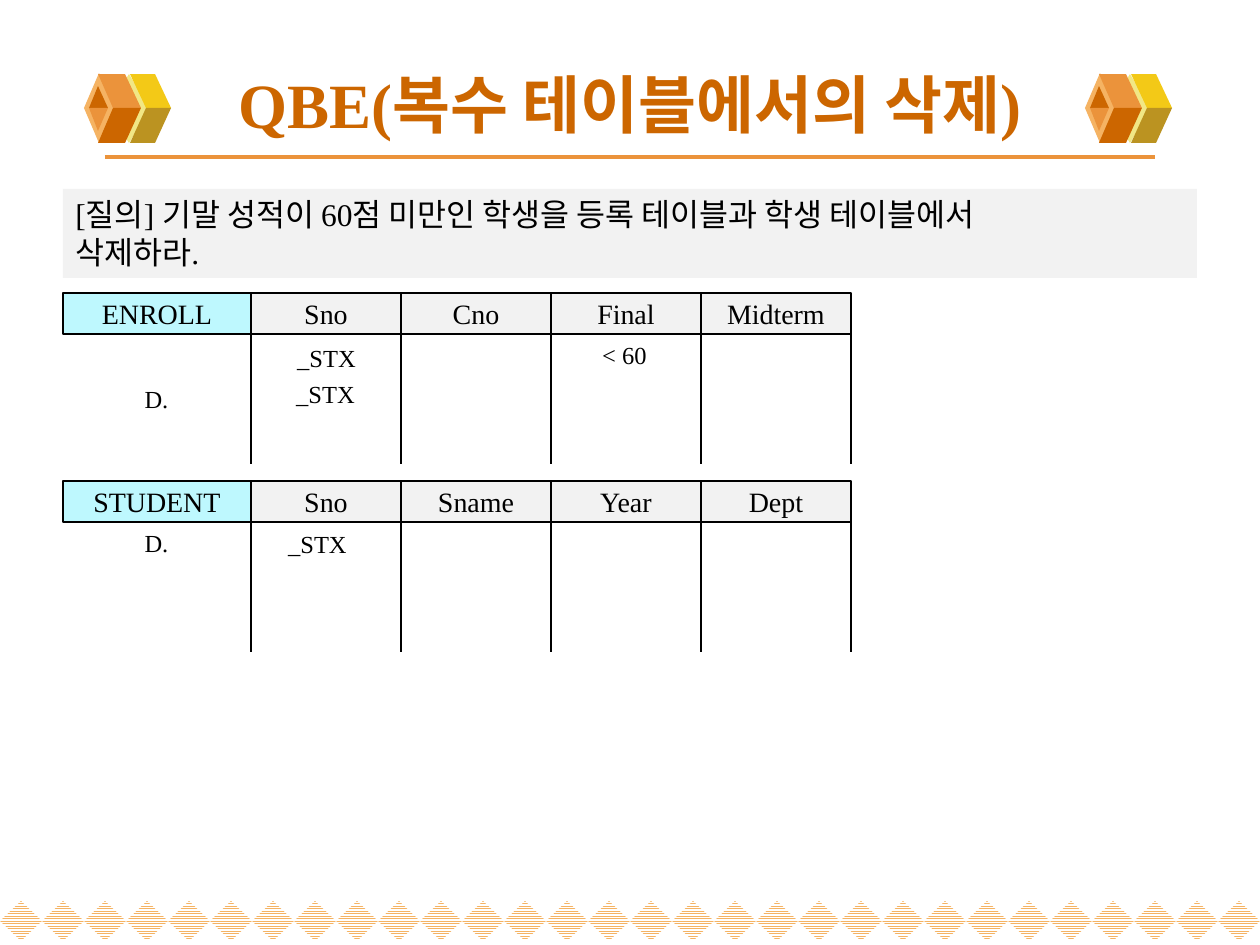
import pptx
import pptx.util
import pptx.dml.color
import pptx.enum.dml
import pptx.enum.shapes
import pptx.enum.text
import pptx.oxml.ns
import lxml.etree

RGBColor = pptx.dml.color.RGBColor
SHAPE = pptx.enum.shapes.MSO_SHAPE
ALIGN = pptx.enum.text.PP_ALIGN
ANCHOR = pptx.enum.text.MSO_ANCHOR

BLACK = RGBColor(0x00, 0x00, 0x00)
WHITE = RGBColor(0xFF, 0xFF, 0xFF)
GREY = RGBColor(0xF2, 0xF2, 0xF2)
CYAN = RGBColor(0xBE, 0xF8, 0xFE)
RUST = RGBColor(0xCC, 0x66, 0x00)
ORANGE = RGBColor(0xEB, 0x93, 0x3B)
APRICOT = RGBColor(0xF5, 0xB3, 0x63)
CREAM = RGBColor(0xF1, 0xE7, 0x85)
YELLOW = RGBColor(0xF3, 0xC9, 0x17)
OLIVE = RGBColor(0xBB, 0x93, 0x21)

FONT = "Times New Roman"
PX = 914400 / 126

deck = pptx.Presentation()
deck.slide_width = round(1260 * PX)
deck.slide_height = round(945 * PX)
page = deck.slides.add_slide(deck.slide_layouts[5])


def write(shape, text, size, align=ALIGN.CENTER, anchor=ANCHOR.MIDDLE, color=BLACK):
    frame = shape.text_frame
    frame.word_wrap = True
    frame.vertical_anchor = anchor
    frame.text = text
    para = frame.paragraphs[0]
    para.alignment = align
    para.font.name = FONT
    para.font.size = pptx.util.Pt(size)
    para.font.color.rgb = color
    return para


def add_line(x1, y1, x2, y2, color, width):
    ends = [round(value * PX) for value in (x1, y1, x2, y2)]
    line = page.shapes.add_connector(pptx.enum.shapes.MSO_CONNECTOR.STRAIGHT, *ends)
    line.line.color.rgb = color
    line.line.width = pptx.util.Pt(width)
    properties = line._element.spPr
    lxml.etree.SubElement(properties, pptx.oxml.ns.qn("a:effectLst"))


# Border of hatched diamonds along the bottom
for column in range(30):
    diamond = page.shapes.add_shape(
        SHAPE.DIAMOND, *[round(value * PX) for value in (column * 42, 901, 42, 40)])
    diamond.shadow.inherit = False
    diamond.line.fill.background()
    diamond.fill.patterned()
    diamond.fill.pattern = pptx.enum.dml.MSO_PATTERN.NARROW_HORIZONTAL
    diamond.fill.fore_color.rgb = APRICOT
    diamond.fill.back_color.rgb = WHITE

# Title with its rule and a pair of cubes
add_line(105, 157, 1155, 157, ORANGE, 2.25)

# Facets in drawing order: a diamond is a box of four numbers, the rest are outlines
cube_facets = [
    (CREAM, (108, 74, 42, 69)),
    (YELLOW, [(146, 108), (171, 108), (155, 74), (130, 74)]),
    (OLIVE, [(146, 108), (171, 108), (155, 143), (130, 143)]),
    (APRICOT, (84, 73, 30, 70)),
    (ORANGE, [(113, 108), (141, 108), (125, 74), (98, 74)]),
    (RUST, [(113, 108), (141, 108), (125, 143), (98, 143)]),
    (RUST, [(98, 86), (89, 108), (108, 108)]),
    (ORANGE, [(98, 131), (89, 108), (108, 108)]),
]
for shift in (0, 1001):
    for color, outline in cube_facets:
        if isinstance(outline, tuple):
            left, top, width, height = outline
            facet = page.shapes.add_shape(
                SHAPE.DIAMOND,
                *[round(value * PX) for value in (left + shift, top, width, height)])
        else:
            corners = [(x + shift, y) for x, y in outline]
            builder = page.shapes.build_freeform(*corners[0], scale=PX)
            builder.add_line_segments(corners[1:], close=True)
            facet = builder.convert_to_shape()
        facet.shadow.inherit = False
        facet.fill.solid()
        facet.fill.fore_color.rgb = color
        facet.line.fill.background()

title = page.shapes.title
title.left, title.top, title.width, title.height = [
    round(value * PX) for value in (63, 50, 1134, 107)]
write(title, "QBE(복수 테이블에서의 삭제)", 36, color=RUST).font.bold = True

# Query in words
query = page.shapes.add_shape(
    SHAPE.RECTANGLE, *[round(value * PX) for value in (63, 189, 1134, 89)])
query.shadow.inherit = False
query.fill.solid()
query.fill.fore_color.rgb = GREY
query.line.fill.background()
write(query, "[질의] 기말 성적이 60점 미만인 학생을 등록 테이블과 학생 테이블에서\v삭제하라.",
      18, ALIGN.LEFT, ANCHOR.TOP)

# Two query skeletons: header cells with open columns below
skeletons = [
    (293, ["ENROLL", "Sno", "Cno", "Final", "Midterm"]),
    (481, ["STUDENT", "Sno", "Sname", "Year", "Dept"]),
]
for top, names in skeletons:
    left = 63
    for index, name in enumerate(names):
        width = 150 if index else 188
        cell = page.shapes.add_shape(
            SHAPE.RECTANGLE, *[round(value * PX) for value in (left, top, width, 41)])
        cell.shadow.inherit = False
        cell.fill.solid()
        cell.fill.fore_color.rgb = GREY if index else CYAN
        cell.line.color.rgb = BLACK
        cell.line.width = pptx.util.Pt(0.75)
        write(cell, name, 16)
        left += width
        add_line(left, top + 41, left, top + 171, BLACK, 0.75)

# Entries in the skeletons
entries = [
    (87, 378, "D."),
    (257, 337, "_STX"),
    (256, 373, "_STX"),
    (555, 334, "< 60"),
    (87, 522, "D."),
    (248, 523, "_STX"),
]
for left, top, text in entries:
    box = page.shapes.add_textbox(*[round(value * PX) for value in (left, top, 139, 43)])
    write(box, text, 14, anchor=ANCHOR.TOP)

deck.save("out.pptx")
